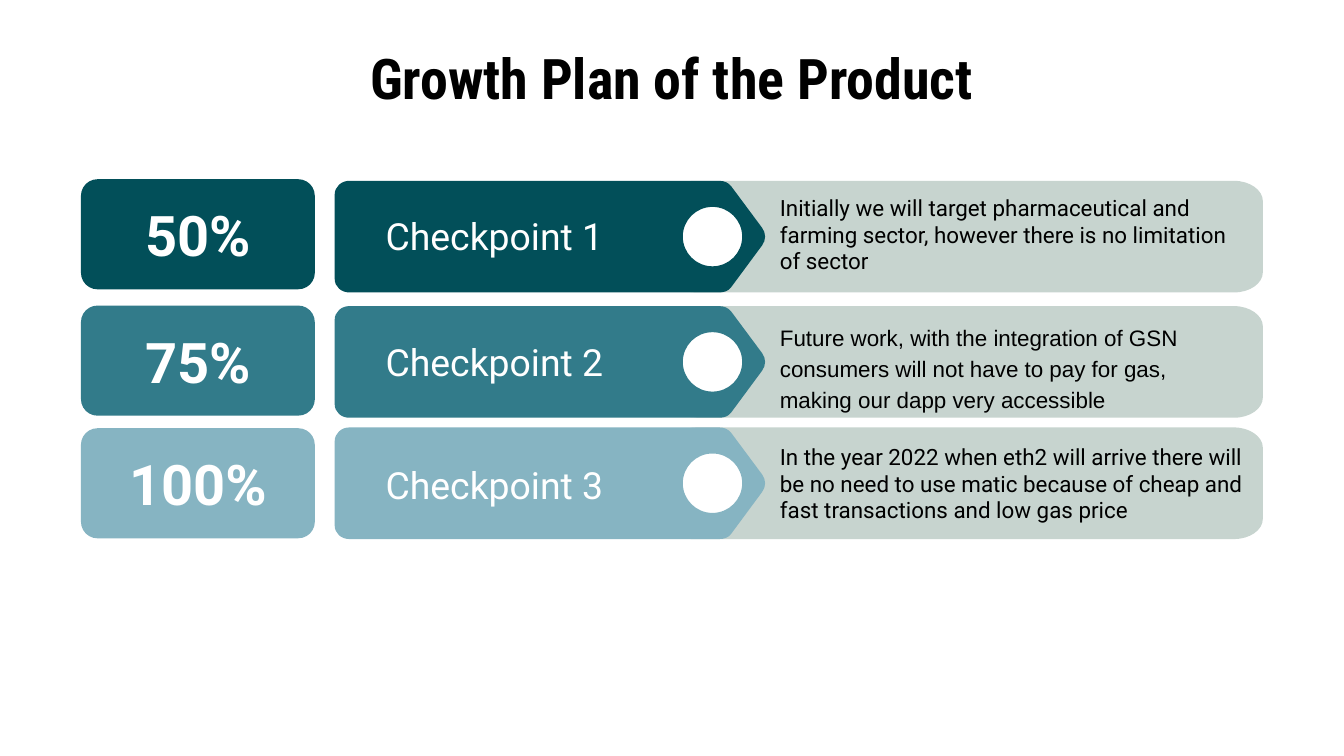
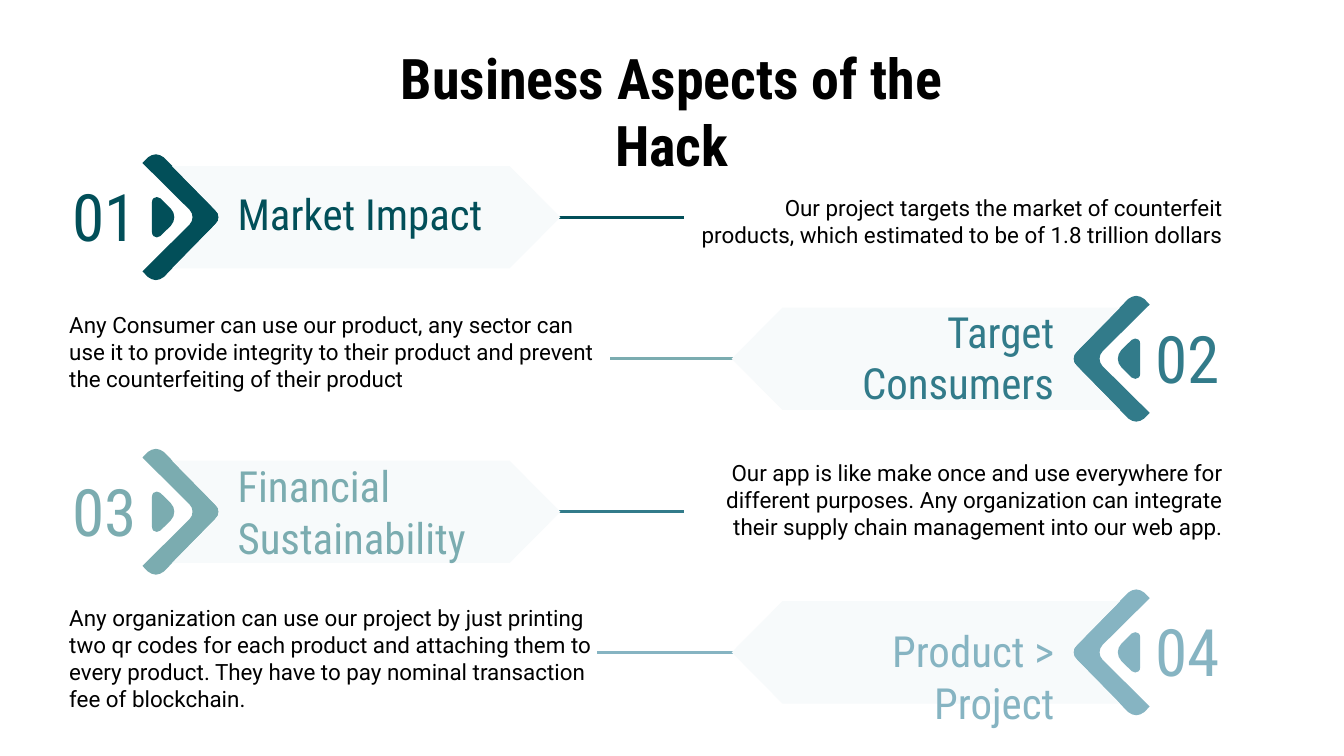
import pptx
import pptx.util
import pptx.dml.color
import pptx.enum.shapes
import pptx.enum.text
import pptx.oxml.ns
import lxml.etree

Pt = pptx.util.Pt
RGB = pptx.dml.color.RGBColor
qn = pptx.oxml.ns.qn
ALIGN = pptx.enum.text.PP_ALIGN
KIND = pptx.enum.shapes.MSO_SHAPE
LINK = pptx.enum.shapes.MSO_CONNECTOR
LEFT, MID, RIGHT = ALIGN.LEFT, ALIGN.CENTER, ALIGN.RIGHT

# Shared colours and fonts
DARK = RGB(0x02, 0x4F, 0x59)
TEAL = RGB(0x32, 0x7B, 0x8A)
SAGE = RGB(0x7B, 0xAC, 0xB0)
SKY = RGB(0x86, 0xB4, 0xC2)
GREY = RGB(0xC7, 0xD4, 0xCF)
PALE = RGB(0xF7, 0xFA, 0xFB)
WHITE = RGB(0xFF, 0xFF, 0xFF)
BLACK = RGB(0, 0, 0)
SANS, SLIM = "Roboto", "Roboto Condensed"
AXIS = 692.2  # sum of the x values of two mirrored points

# Outlines: a pair is a straight corner, six numbers are a curve; y from row top
HOLE = [(381.7, 14), (390.5, 14, 397.6, 21.1, 397.6, 29.9),
        (397.6, 38.7, 390.5, 45.8, 381.7, 45.8),
        (372.9, 45.8, 365.8, 38.7, 365.8, 29.9),
        (365.8, 21.1, 372.9, 14, 381.7, 14)]
ARROW = [(187.2, 0), (182.9, 0, 179.3, 3.2, 179.3, 7.4), (179.3, 52.5),
         (179.3, 56.8, 182.9, 59.8, 187.2, 59.8), (385.2, 59.8),
         (388, 59.8, 390.3, 59, 391.7, 57), (408.3, 34.6),
         (410.4, 31.7, 410.4, 28.1, 408.3, 25.2), (391.7, 2.9),
         (390.2, 1, 388, 0, 385.2, 0)]
PANEL = [(370, 0), (373, 0, 376.5, 0.7, 378.7, 2.9), (403.2, 25.2),
         (406, 28, 406, 32, 403.2, 34.6), (378.7, 57),
         (376.5, 59, 373.5, 59.8, 370, 59.8), (661, 59.8),
         (669.6, 59.8, 676.5, 55, 676.5, 49), (676.5, 10.8),
         (676.5, 5, 669.6, 0, 661, 0)]
# These have y from the row's middle
WEDGE = [(83.5, -33.7), (82, -33.7, 80.6, -33, 79.2, -32), (76.3, -29),
         (101.5, -4), (103.7, -1.8, 103.7, 1.8, 101.5, 4), (76.3, 29),
         (79.2, 32), (80.6, 33, 82, 33.7, 83.5, 33.7),
         (85, 33.7, 86.4, 33, 87.8, 32), (115.2, 4),
         (117.7, 1.8, 117.7, -1.8, 115.2, -4), (87.8, -32),
         (86.4, -33, 85, -33.7, 83.5, -33.7)]
DOT = [(84, -10.8), (82.8, -10.8, 81.4, -10, 81.4, -8), (81.4, 8),
       (81.4, 10, 82.8, 10.8, 84, 10.8), (84.8, 10.8, 85.4, 10.6, 85.9, 10.1),
       (91.4, 4.7), (94, 2, 94, -2, 91.4, -4.7), (85.9, -10.1),
       (85.4, -10.6, 84.8, -10.8, 84, -10.8)]
BAND = [(92.2, -27.4), (115.2, -4), (118, -1.8, 118, 1.8, 115.2, 4),
        (92.2, 27.4), (273, 27.4), (300.2, 0), (273, -27.4)]


def draw(slide, loops, y, fill, flip=False):
    """Fill closed outlines, then turn each curve's three corners into a Bezier."""
    pen = None
    for loop in loops:
        flat = [part[i:i + 2] for part in loop for i in range(0, len(part), 2)]
        spots = [(Pt(AXIS - u if flip else u), Pt(y + v)) for u, v in flat]
        if pen is None:
            pen = slide.shapes.build_freeform(*spots[0], scale=1.0)
        else:
            pen.move_to(*spots[0])
        pen.add_line_segments(spots[1:], close=True)
    shape = pen.convert_to_shape()
    nodes = iter(list(shape._element.iter(qn("a:lnTo"))))
    for part in (part for loop in loops for part in loop[1:]):
        node = next(nodes)
        if len(part) == 6:
            node.tag = qn("a:cubicBezTo")
            for _ in range(2):
                extra = next(nodes)
                node.append(extra[0])
                extra.getparent().remove(extra)
    shape.shadow.inherit = False
    shape.fill.solid()
    shape.fill.fore_color.rgb = fill
    shape.line.fill.background()


def write(box, words, size, face, ink, align=LEFT, bold=False, lead=None):
    """Fill a text frame with one formatted run."""
    frame = box.text_frame
    frame.word_wrap = True
    frame.auto_size = pptx.enum.text.MSO_AUTO_SIZE.NONE
    frame.vertical_anchor = pptx.enum.text.MSO_ANCHOR.TOP
    frame.margin_left = frame.margin_right = Pt(7.2)
    frame.margin_top = frame.margin_bottom = Pt(7.2)
    para = frame.paragraphs[0]
    para.alignment = align
    if lead:
        para.line_spacing = lead
    run = para.add_run()
    run.text = words
    run.font.size = Pt(size)
    run.font.name = face
    run.font.bold = bold
    run.font.color.rgb = ink


deck = pptx.Presentation()
deck.slide_width, deck.slide_height = Pt(720), Pt(405)

# Slides and their titles
slides = []
for words in ("Growth Plan of the Product", "Business Aspects of the Hack"):
    slide = deck.slides.add_slide(deck.slide_layouts[5])
    head = slide.shapes.title
    head.left, head.top, head.width, head.height = Pt(182), Pt(16), Pt(355.7), Pt(49)
    write(head, words, 30, SLIM, BLACK, MID, True)
    slides.append(slide)
plan, hack = slides

# Slide 1: checkpoints (arrow top, pill top, colour, share, text, width, font, lead)
steps = [
    (96.9, 96, DARK, "50%", "Initially we will target pharmaceutical and farming sector, "
     "however there is no limitation of sector", 255.6, SANS, None),
    (164, 163.7, TEAL, "75%", "Future work, with the integration of GSN consumers will "
     "not have to pay for gas, making our dapp very accessible", 255.6, "Arial", 1.15),
    (229, 229.4, SKY, "100%", "In the year 2022 when eth2 will arrive there will be no need "
     "to use matic because of cheap and fast transactions and low gas price", 265.7, SANS, None),
]
for num, (y, top, tint, share, note, wide, face, lead) in enumerate(steps, 1):
    draw(plan, [PANEL], y, GREY)
    draw(plan, [HOLE, ARROW], y, tint)
    pill = plan.shapes.add_shape(KIND.ROUNDED_RECTANGLE, Pt(43.4), Pt(top), Pt(125.3), Pt(59))
    pill.adjustments[0] = 0.15
    pill.shadow.inherit = False
    pill.fill.solid()
    pill.fill.fore_color.rgb = tint
    pill.line.fill.background()
    box = plan.shapes.add_textbox(Pt(199.5), Pt(top + 10.9), Pt(161.3), Pt(23))
    write(box, f"Checkpoint {num}", 20, SANS, WHITE)
    box = plan.shapes.add_textbox(Pt(410.7), Pt(top + 0.6), Pt(wide), Pt(59))
    write(box, note, 12, face, BLACK, lead=lead)
    box = plan.shapes.add_textbox(Pt(43.4), Pt(top + 4.5), Pt(125.3), Pt(36.7))
    write(box, share, 30, SANS, WHITE, MID, True)

# Slide 2: aspects (middle, colour, line colour, line ends, name, name top and width,
# note, note top and height); even rows are mirrored
rows = [
    (116.4, DARK, DARK, (366.2, 242), "Market Impact", 93.3, 153.4,
     "Our project targets the market of counterfeit products, which estimated to be of "
     "1.8 trillion dollars", 96.8, 41),
    (192.2, TEAL, SAGE, (450.7, 327), "Target Consumers", 156.5, 153.4,
     "Any Consumer can use our product, any sector can use it to provide integrity to "
     "their product and prevent the counterfeiting of their product", 159.6, 67),
    (274.2, SAGE, TEAL, (366.2, 277), "Financial Sustainability", 239.2, 153.4,
     "Our app is like make once and use everywhere for different purposes. Any organization "
     "can integrate their supply chain management into our web app.", 239, 69),
    (349.5, SKY, SKY, (444.2, 319.7), "Product > Project", 327.6, 166.3,
     "Any organization can use our project by just printing two qr codes for each product "
     "and attaching them to every product. They have to pay nominal transaction fee of "
     "blockchain.", 316.5, 70.6),
]
for num, (y, tint, ink, ends, name, top, wide, note, low, tall) in enumerate(rows, 1):
    flip = num % 2 == 0
    link = hack.shapes.add_connector(LINK.STRAIGHT, Pt(ends[0]), Pt(y), Pt(ends[1]), Pt(y))
    link.line.color.rgb = ink
    link.line.width = Pt(1.5)
    lxml.etree.SubElement(link._element.spPr, qn("a:effectLst"))
    for loop, fill in ((WEDGE, tint), (DOT, tint), (BAND, PALE)):
        draw(hack, [loop], y, fill, flip)
    near, far = (RIGHT, LEFT) if flip else (LEFT, RIGHT)
    for x, t, w, h, words, size, face, hue, side in (
            (120.2, top, wide, 28, name, 23, SLIM, tint, near),
            (30.4, y - 29.1, 51, 53.3, f"{num:02}", 35, SLIM, tint, MID),
            (365.6, low, 296.6, tall, note, 12, SANS, BLACK, far)):
        x = AXIS - x - w if flip else x
        box = hack.shapes.add_textbox(Pt(x), Pt(t), Pt(w), Pt(h))
        write(box, words, size, face, hue, side)

deck.save("out.pptx")
